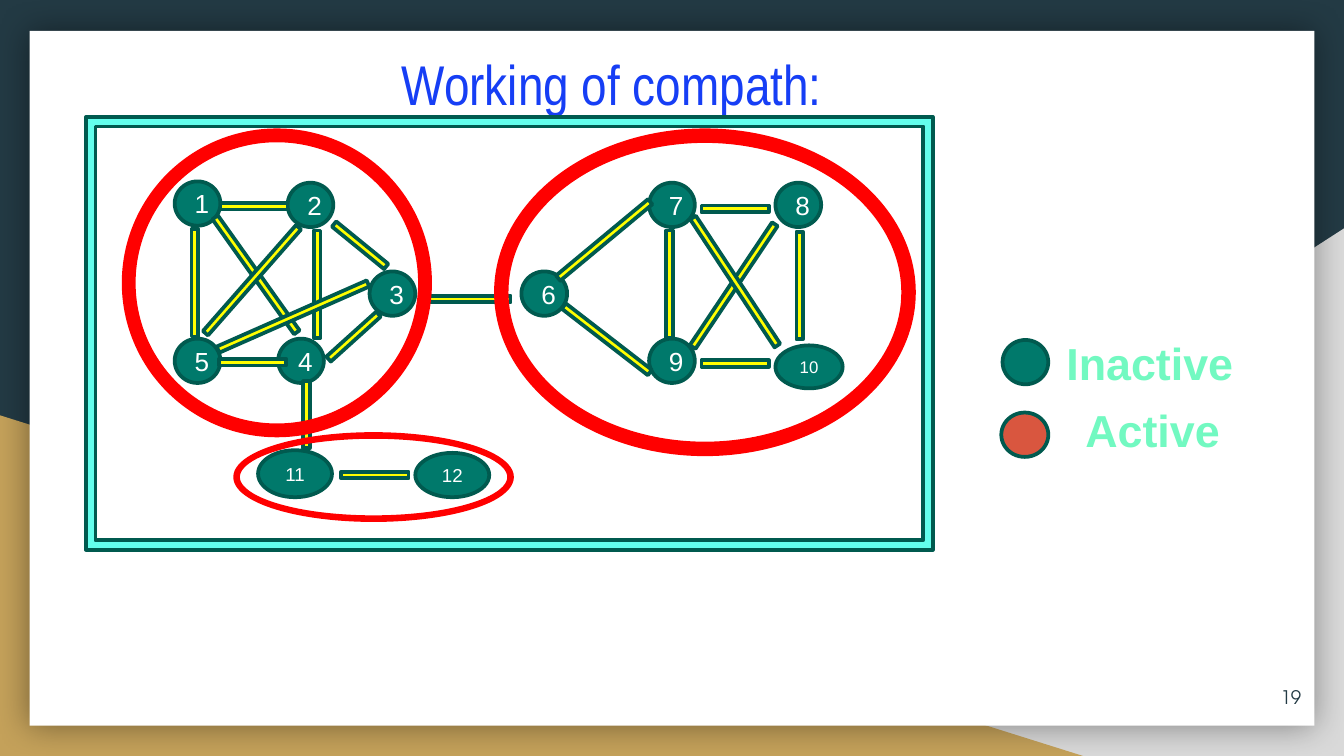
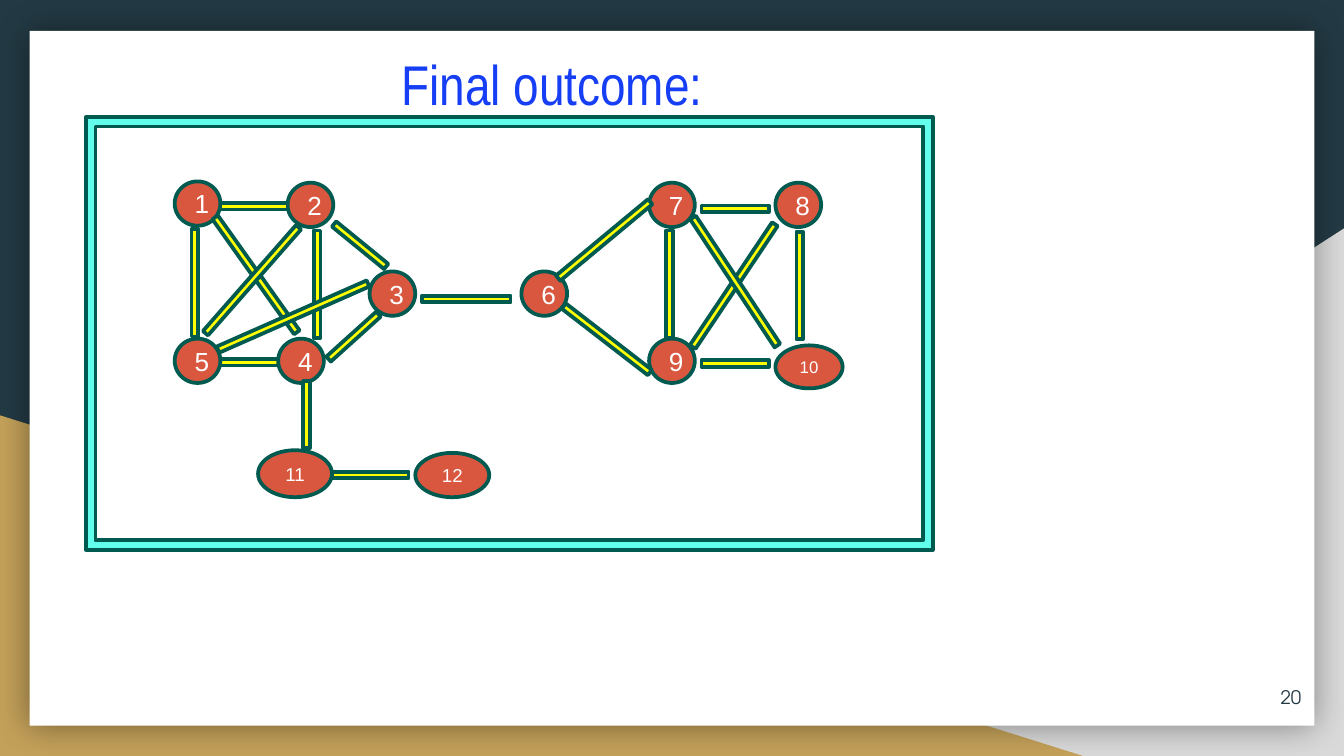
from dataclasses import dataclass

from lxml.etree import SubElement
from pptx import Presentation
from pptx.dml.color import RGBColor
from pptx.enum.shapes import MSO_SHAPE as Preset
from pptx.enum.text import MSO_ANCHOR as Anchor, MSO_AUTO_SIZE as AutoSize, PP_ALIGN as Align
from pptx.oxml.ns import qn
from pptx.util import Inches, Pt

COLUMNS, ROWS = 100, 56.25


@dataclass(frozen=True)
class Theme:
    """Colours, fonts and type sizes."""
    background: str = "233A44"
    grey: str = "D9D9D9"
    gold: str = "C4A15A"
    paper: str = "FFFFFF"
    title: str = "163EF5"
    inactive: str = "00796B"
    active: str = "D9563F"
    outline: str = "005A4F"
    edge: str = "FFFF00"
    ring: str = "FF0000"
    frame: str = "63FFED"
    legend: str = "72F9C1"
    title_font: str = "Arial Narrow"
    body_font: str = "Arial"
    number_font: str = "TeX Gyre Adventor"
    title_size: float = 30
    legend_size: float = 24
    digit_size: float = 14
    number_size: float = 10
    small_size: float = 9
    line_width: float = 2


NODES = {
    1: (13, 13.5), 2: (21.4, 13.6), 3: (27.5, 20.2), 4: (20.7, 25.2),
    5: (13, 25.2), 6: (38.8, 20.2), 7: (48.3, 13.6), 8: (57.7, 13.6),
    9: (48.3, 25.2), 10: (57.7, 25.7, 5, 3.2),
    11: (19.2, 33.5, 5.5, 3.5), 12: (30.9, 33.7, 5.5, 3.3),
}
EDGES = {
    (1, 2): (16.4, 15.1, 5, 0), (7, 8): (52.2, 15.3, 5, 0),
    (5, 4): (16.3, 26.7, 5, 0), (1, 5): (10.5, 20.8, 8, 90),
    (2, 4): (19.6, 20.9, 8, 90), (2, 3): (24.3, 18, 5, 39.2),
    (3, 4): (23.8, 24.8, 5, 138), (1, 4): (13.8, 20.2, 10.5, 54.6),
    (3, 6): (31.4, 22, 6.6, 0), (2, 5): (13.5, 20.6, 10.5, 131.3),
    (8, 9): (49.1, 21, 11, 303.8), (7, 10): (49, 20.7, 11.4, 56.6),
    (4, 11): (20.3, 30.6, 5, 270), (9, 10): (52.2, 26.8, 5, 0),
    (11, 12): (25.4, 35.1, 5, 0), (6, 9): (41.1, 25, 8.1, 37.7),
    (6, 7): (40.5, 17.6, 8.9, 140.3), (7, 9): (45.8, 20.9, 8, 90),
    (8, 10): (55.5, 21, 8, 90), (5, 3): (15.7, 23.3, 12.2, 156.2),
}
COMMUNITIES = [(9.2, 9.7, 22.8, 22.7), (36.9, 9.7, 31.1, 24.1), (17.5, 32.3, 20.6, 6.4)]


class Deck:
    """Draws styled elements on the current slide."""

    def __init__(self, theme):
        self.theme = theme
        self.presentation = Presentation()
        self.presentation.slide_width = Inches(10)
        self.presentation.slide_height = Inches(5.625)
        self.slide = None

    def box(self, left, top, width, height):
        """Turn grid columns and rows into slide lengths."""
        column = self.presentation.slide_width / COLUMNS
        row = self.presentation.slide_height / ROWS
        return [round(n) for n in (left * column, top * row, width * column, height * row)]

    def start(self, number):
        """Open a slide with its backdrop and page number."""
        theme = self.theme
        self.slide = self.presentation.slides.add_slide(self.presentation.slide_layouts[6])
        fill = self.slide.background.fill
        fill.solid()
        fill.fore_color.rgb = RGBColor.from_string(theme.background)
        corner = self.shape(Preset.RIGHT_TRIANGLE, (39.2, 17, 60.8, 39.25), theme.grey)
        corner._element.spPr.find(qn("a:xfrm")).set("flipH", "1")
        self.shape(Preset.RIGHT_TRIANGLE, (0, 30.9, 80.6, 25.35), theme.gold)
        self.glow(self.shape(Preset.RECTANGLE, (2.2, 2.3, 95.6, 51.7), theme.paper))
        page = self.text(str(number), (91.8, 49.7, 6, 4.3), theme.number_font,
                         theme.number_size, theme.background, Align.RIGHT, inset=0.1)
        page.vertical_anchor = Anchor.MIDDLE

    def glow(self, shape):
        """Give a shape a soft dark shadow on all sides."""
        effects = shape._element.spPr.find(qn("a:effectLst"))
        shadow = SubElement(effects, qn("a:outerShdw"), blurRad=str(Pt(18)), dist="0",
                            dir="0", algn="bl", rotWithShape="0")
        colour = SubElement(shadow, qn("a:srgbClr"), val="000000")
        SubElement(colour, qn("a:alpha"), val="40000")

    def shape(self, preset, area, fill, line=None):
        """Add a filled preset shape."""
        shape = self.slide.shapes.add_shape(preset, *self.box(*area))
        shape.shadow.inherit = False
        shape.fill.solid()
        shape.fill.fore_color.rgb = RGBColor.from_string(fill)
        if line:
            shape.line.color.rgb = RGBColor.from_string(line)
            shape.line.width = Pt(self.theme.line_width)
        else:
            shape.line.fill.background()
        return shape

    def label(self, frame, words, font, size, colour, align, bold=False):
        """Fill a text frame with one styled paragraph."""
        frame.word_wrap = True
        paragraph = frame.paragraphs[0]
        paragraph.text = words
        paragraph.alignment = align
        paragraph.font.name = font
        paragraph.font.size = Pt(size)
        paragraph.font.bold = bold
        paragraph.font.color.rgb = RGBColor.from_string(colour)

    def text(self, words, area, font, size, colour, align, bold=False, inset=None):
        """Add a text box and return its frame."""
        frame = self.slide.shapes.add_textbox(*self.box(*area)).text_frame
        if inset:
            frame.margin_left = frame.margin_right = Inches(inset)
            frame.margin_top = frame.margin_bottom = Inches(inset)
        self.label(frame, words, font, size, colour, align, bold)
        return frame

    def title(self, words):
        """Add the slide title."""
        self.text(words, (28.9, 2.7, 40.5, 6.7), self.theme.title_font,
                  self.theme.title_size, self.theme.title, Align.LEFT, inset=0.1)

    def ellipse(self, left, top, width=3.4, height=3.3, fill=None):
        """Add an outlined ellipse."""
        return self.shape(Preset.OVAL, (left, top, width, height), fill, self.theme.outline)

    def nodes(self, numbers, fill):
        """Add numbered graph nodes."""
        theme = self.theme
        for number in numbers:
            size = theme.digit_size if number < 10 else theme.number_size
            if number == 10:
                size = theme.small_size
            node = self.ellipse(*NODES[number], fill=fill)
            self.label(node.text_frame, str(number), theme.body_font, size,
                       theme.paper, Align.CENTER)

    def edges(self, edges):
        """Add bars between nodes, each turned about its centre."""
        for left, top, length, angle in edges:
            bar = self.shape(Preset.RECTANGLE, (left, top, length, 0.5),
                             self.theme.edge, self.theme.outline)
            bar.rotation = angle

    def ring(self, area):
        """Add a ring around a community."""
        ring = self.shape(Preset.DONUT, area, self.theme.ring, self.theme.ring)
        ring.adjustments[0] = 0.033

    def frame(self):
        """Add the frame around the graph."""
        frame = self.shape(Preset.FRAME, (6.4, 8.7, 63, 32.2),
                           self.theme.frame, self.theme.outline)
        frame.adjustments[0] = 0.022

    def legend(self, words, dot, corner, fill):
        """Add a legend dot and its label."""
        self.ellipse(*dot, fill=fill)
        frame = self.text(words, (*corner, 16.1, 5), self.theme.body_font,
                          self.theme.legend_size, self.theme.legend, Align.CENTER, bold=True)
        frame.auto_size = AutoSize.SHAPE_TO_FIT_TEXT


def working_slide(deck):
    """Show the inactive graph with its communities."""
    deck.start(19)
    deck.title("Working of compath:")
    deck.nodes(NODES, deck.theme.inactive)
    *under, across = EDGES.values()
    deck.edges(under)
    for area in COMMUNITIES:
        deck.ring(area)
    deck.edges([across])
    deck.frame()
    deck.legend("Inactive", (74.6, 25.3), (77.5, 24.5), deck.theme.inactive)
    deck.legend("Active", (74.5, 30.7, 3.5), (77.7, 29.5), deck.theme.active)


def outcome_slide(deck):
    """Show the graph with every node active."""
    front_nodes = (5, 4, 6, 11, 12)
    front_edges = ((6, 7), (5, 3), (3, 6), (4, 11))
    edges = EDGES | {(11, 12): (24.7, 35.1, 5.7, 0)}
    deck.start(20)
    deck.nodes([n for n in NODES if n not in front_nodes], deck.theme.active)
    deck.edges(bar for pair, bar in edges.items() if pair not in front_edges)
    deck.nodes(front_nodes, deck.theme.active)
    deck.title("Final outcome:")
    deck.edges(edges[pair] for pair in front_edges)
    deck.frame()


def main():
    """Build and save both slides."""
    deck = Deck(Theme())
    working_slide(deck)
    outcome_slide(deck)
    deck.presentation.save("out.pptx")


if __name__ == "__main__":
    main()
